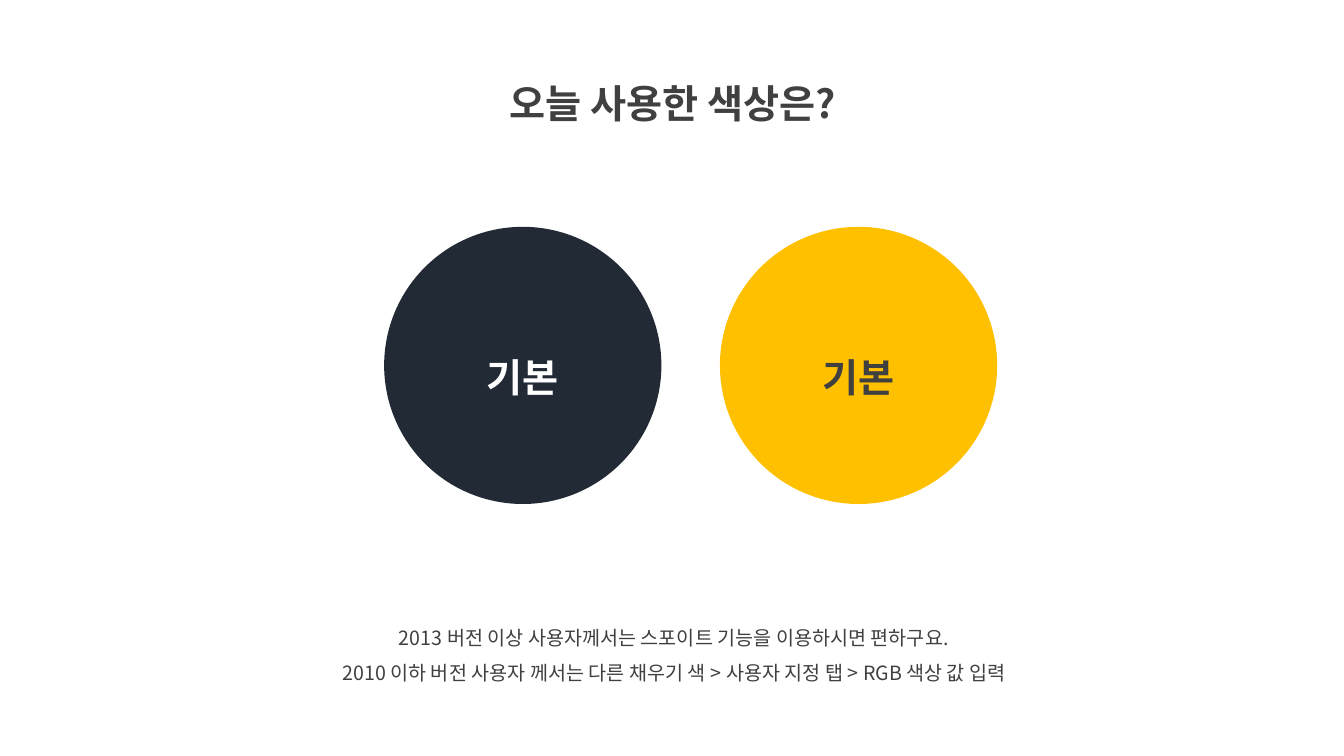
from lxml.etree import SubElement
from pptx import Presentation
from pptx.dml.color import RGBColor
from pptx.enum.shapes import MSO_SHAPE
from pptx.enum.text import MSO_ANCHOR, MSO_AUTO_SIZE, PP_ALIGN
from pptx.oxml.ns import qn
from pptx.util import Pt

PX = 9144  # 100 px to the inch
FONT = "Noto Sans CJK KR"
COLORS = {"navy": "222A35", "yellow": "FFC000", "text": "404040", "white": "FFFFFF"}


def place(left, top, width, height):
    """Turn a px rectangle into EMU."""
    return [value * PX for value in (left, top, width, height)]


def write_lines(frame, lines, size, color, bold):
    frame.word_wrap = True
    for number, line in enumerate(lines):
        para = frame.add_paragraph() if number else frame.paragraphs[0]
        para.alignment = PP_ALIGN.CENTER
        para.line_spacing = 1.5
        span = para.add_run()
        span.text = line
        span.font.name = FONT
        span.font.size = Pt(size)
        span.font.bold = bold
        span.font.color.rgb = RGBColor.from_string(COLORS[color])
        SubElement(span.font._element, qn("a:ea")).set("typeface", FONT)


deck = Presentation()
deck.slide_width, deck.slide_height = 1333 * PX, 750 * PX
page = deck.slides.add_slide(deck.slide_layouts[6])

title = ["오늘 사용한 색상은?"]
guide = [
    "2013 버전 이상 사용자께서는 스포이트 기능을 이용하시면 편하구요.",
    "2010 이하 버전 사용자 께서는 다른 채우기 색 > 사용자 지정 탭 > RGB 색상 값 입력",
]
for area, lines, size, bold in [
    ((436, 50, 463, 72), title, 28, True),
    ((269, 604, 799, 81), guide, 14, False),
]:
    box = page.shapes.add_textbox(*place(*area))
    write_lines(box.text_frame, lines, size, "text", bold)
    box.text_frame.auto_size = MSO_AUTO_SIZE.SHAPE_TO_FIT_TEXT

for left, fill, label_color in [(381, "navy", "white"), (714, "yellow", "text")]:
    circle = page.shapes.add_shape(MSO_SHAPE.OVAL, *place(left, 225, 275, 275))
    circle.shadow.inherit = False
    circle.fill.solid()
    circle.fill.fore_color.rgb = RGBColor.from_string(COLORS[fill])
    circle.line.fill.background()
    circle.text_frame.vertical_anchor = MSO_ANCHOR.MIDDLE
    write_lines(circle.text_frame, ["기본"], 28, label_color, True)

deck.save("out.pptx")
